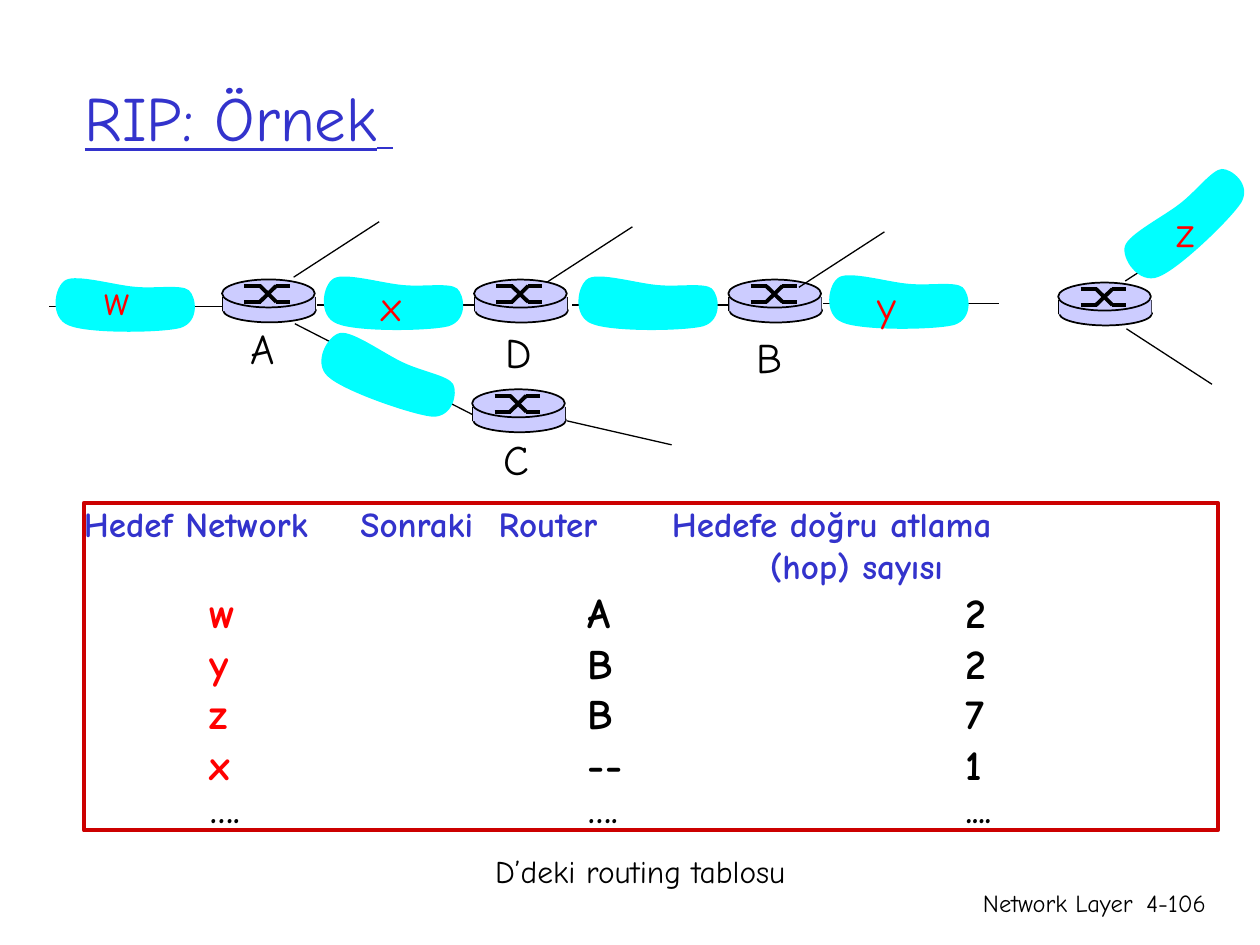
from lxml import etree
from pptx import Presentation
from pptx.dml.color import RGBColor
from pptx.enum import shapes, text
from pptx.oxml import ns
from pptx.util import Pt

FONT = "Comic Neue"
COLORS = {"ink": "000000", "heading": "3333CC", "network": "FF0000",
          "cloud": "00FFFF", "router": "CCCCFF", "frame": "CC0000"}
CLOUD_START = (49, 7.4)
CLOUD_CURVES = [
    ((37.5, 6.5), (15.8, 0), (9.4, 3.6)),
    ((2.9, 7.2), (0, 25.2), (11.2, 29.5)),
    ((22.3, 34.3), (63.4, 33.8), (74.9, 31)),
    ((86.4, 27.4), (84, 13), (79.9, 9.4)),
    ((75.6, 5.8), (60.5, 8.6), CLOUD_START),
]
LINKS = [(28.1, 175.2, 128.4), (181.4, 174.4, 282.2),
         (326.9, 174.4, 427.7), (470.2, 173.5, 571)]
ROUTERS = [(126.9, 159.7), (270.9, 159.8), (416.2, 159.8), (604.7, 161.5), (269.8, 222.5)]
BRANCHES = [(167.8, 158.4, 216.7, 126.7), (312.5, 161.3, 361.4, 129.6),
            (456.5, 164.2, 505.4, 132.5), (643, 160.6, 691.9, 128.9),
            (643.7, 187.9, 692.6, 219.6), (168.5, 185, 270, 236.9),
            (324, 240.5, 383.8, 254.2)]
CLOUDS = [(28.1, 156.5, 0), (181.4, 155.5, 0), (326.9, 155.5, 0), (470.2, 154.8, 0),
          (178.6, 197.3, 19.7), (633.6, 110.2, 316.8)]
NETWORK_LABELS = [("w", 52.4, 152.6, 28.8), ("x", 211, 156.2, 25.9),
                  ("y", 494.6, 156.2, 25.2), ("z", 665.3, 113.8, 24.5)]
ROUTER_LABELS = [("A", 136.3, 181, 28.1), ("D", 281.8, 183, 29.5),
                 ("B", 425.5, 185.8, 28.8), ("C", 280.8, 244.1, 28.8)]
ROUTES = [("w", "A", "2"), ("y", "B", "2"), ("z", "B", "7"), ("x", "--", "1")]


def color(name):
    return RGBColor.from_string(COLORS[name])


def format_run(span, size, name, bold=False):
    span.font.name = FONT
    span.font.size = Pt(size)
    span.font.bold = bold
    span.font.color.rgb = color(name)


def add_span(para, words, size, name, bold=False):
    span = para.add_run()
    span.text = words
    format_run(span, size, name, bold)


def add_line(parent, x1, y1, x2, y2, weight=0.75):
    line = parent.add_connector(shapes.MSO_CONNECTOR.STRAIGHT, Pt(x1), Pt(y1), Pt(x2), Pt(y2))
    line.line.width = Pt(weight)
    line.line.color.rgb = color("ink")
    etree.SubElement(line._element.spPr, ns.qn("a:effectLst"))


def paint(shape, fill=None, outline=None, weight=1):
    shape.shadow.inherit = False
    if fill:
        shape.fill.solid()
        shape.fill.fore_color.rgb = color(fill)
    else:
        shape.fill.background()
    if outline:
        shape.line.color.rgb = color(outline)
        shape.line.width = Pt(weight)
    else:
        shape.line.fill.background()


def add_preset(parent, kind, left, top, width, height, *style):
    shape = parent.add_shape(kind, Pt(left), Pt(top), Pt(width), Pt(height))
    paint(shape, *style)
    return shape


def add_router(page, left, top):
    parts = page.shapes.add_group_shape().shapes
    kinds = shapes.MSO_SHAPE
    add_preset(parts, kinds.OVAL, left + 0.6, top + 10.8, 53, 13.7, "router", "ink")
    for x in (0.6, 53.3):
        add_line(parts, left + x, top + 9.8, left + x, top + 18.2, 1)
    add_preset(parts, kinds.RECTANGLE, left + 0.6, top + 9.8, 52.6, 8.4, "router")
    add_preset(parts, kinds.OVAL, left, top, 53, 16, "router", "ink")
    for start, end in ((3.6, 12.8), (12.8, 3.6)):
        add_line(parts, left + 12.8, top + start, left + 22.1, top + start, 2.25)
        add_line(parts, left + 21.6, top + start, left + 31, top + end, 2.25)
        add_line(parts, left + 30.8, top + end, left + 39, top + end, 2.25)


def add_cloud(page, left, top, rotation):
    builder = page.shapes.build_freeform(Pt(left + CLOUD_START[0]), Pt(top + CLOUD_START[1]))
    builder.add_line_segments([(Pt(left + x), Pt(top + y))
                               for curve in CLOUD_CURVES for x, y in curve])
    cloud = builder.convert_to_shape()
    segments = list(cloud._element.iter(ns.qn("a:lnTo")))
    for index in range(0, 3 * len(CLOUD_CURVES), 3):
        curve = etree.Element(ns.qn("a:cubicBezTo"))
        segments[index].addprevious(curve)
        for segment in segments[index:index + 3]:
            curve.append(segment[0])
            segment.getparent().remove(segment)
    for extra in segments[3 * len(CLOUD_CURVES):]:
        extra.getparent().remove(extra)
    paint(cloud, "cloud")
    cloud.rotation = rotation


def add_label(page, words, left, top, width, height, size=24, name="ink", align=None):
    box = page.shapes.add_textbox(Pt(left), Pt(top), Pt(width), Pt(height))
    frame = box.text_frame
    frame.word_wrap = align is not None
    if align is None:
        frame.auto_size = text.MSO_AUTO_SIZE.SHAPE_TO_FIT_TEXT
    frame.text = words
    para = frame.paragraphs[0]
    para.alignment = align
    format_run(para.runs[0], size, name)


def add_title(page):
    title = page.shapes.title
    title.left, title.top, title.width, title.height = Pt(41.25), Pt(21.6), Pt(612), Pt(90)
    frame = title.text_frame
    frame.auto_size = text.MSO_AUTO_SIZE.NONE
    frame.vertical_anchor = text.MSO_ANCHOR.MIDDLE
    frame.text = "RIP: Örnek"
    para = frame.paragraphs[0]
    para.alignment = text.PP_ALIGN.LEFT
    format_run(para.runs[0], 36, "heading")
    add_span(para, " ", 28, "heading")
    for span in para.runs:
        span.font.underline = True


def add_row(frame, stops, spans, first=False):
    para = frame.paragraphs[0] if first else frame.add_paragraph()
    para.alignment = text.PP_ALIGN.LEFT
    tabs = etree.SubElement(para._p.get_or_add_pPr(), ns.qn("a:tabLst"))
    for stop in stops:
        etree.SubElement(tabs, ns.qn("a:tab"), pos=str(Pt(stop)), algn="l")
    for words, size, name in spans:
        add_span(para, words, size, name, True)


def add_routing_table(page):
    box = add_preset(page.shapes, shapes.MSO_SHAPE.RECTANGLE, 48, 287.3, 648, 187.2,
                     None, "frame", 2.25)
    frame = box.text_frame
    frame.margin_left = frame.margin_right = frame.margin_top = frame.margin_bottom = 0
    frame.vertical_anchor = text.MSO_ANCHOR.TOP
    frame.word_wrap = True
    frame.auto_size = text.MSO_AUTO_SIZE.SHAPE_TO_FIT_TEXT
    header = "Hedef Network\tSonraki\tRouter\tHedefe doğru atlama"
    add_row(frame, (158, 237, 336), [(header, 20, "heading")], True)
    add_row(frame, (392,), [("\t(hop) sayısı", 20, "heading")])
    columns = (72, 288, 504)
    for network, router, hops in ROUTES:
        add_row(frame, columns, [(f"\t{network}\t", 24, "network"),
                                 (f"{router}\t{hops}", 24, "ink")])
    add_row(frame, columns, [("\t….\t….\t....", 20, "ink")])


def main():
    deck = Presentation()
    deck.slide_width, deck.slide_height = Pt(720), Pt(540)
    page = deck.slides.add_slide(deck.slide_layouts[5])
    add_title(page)
    right = text.PP_ALIGN.RIGHT
    add_label(page, "Network Layer", 426.2, 504, 228.2, 36, 14, align=right)
    add_label(page, "4-106", 643, 504, 53.3, 36, 14, align=right)
    add_routing_table(page)
    for left, y, end in LINKS:
        add_line(page.shapes, left, y, end, y, 1)
    for router in ROUTERS:
        add_router(page, *router)
    for branch in BRANCHES:
        add_line(page.shapes, *branch)
    for cloud in CLOUDS:
        add_cloud(page, *cloud)
    for name, labels in (("network", NETWORK_LABELS), ("ink", ROUTER_LABELS)):
        for words, left, top, width in labels:
            add_label(page, words, left, top, width, 36, name=name)
    add_label(page, "D’deki routing tablosu", 275.8, 483.1, 180.7, 28.8, 18)
    deck.save("out.pptx")


if __name__ == "__main__":
    main()
